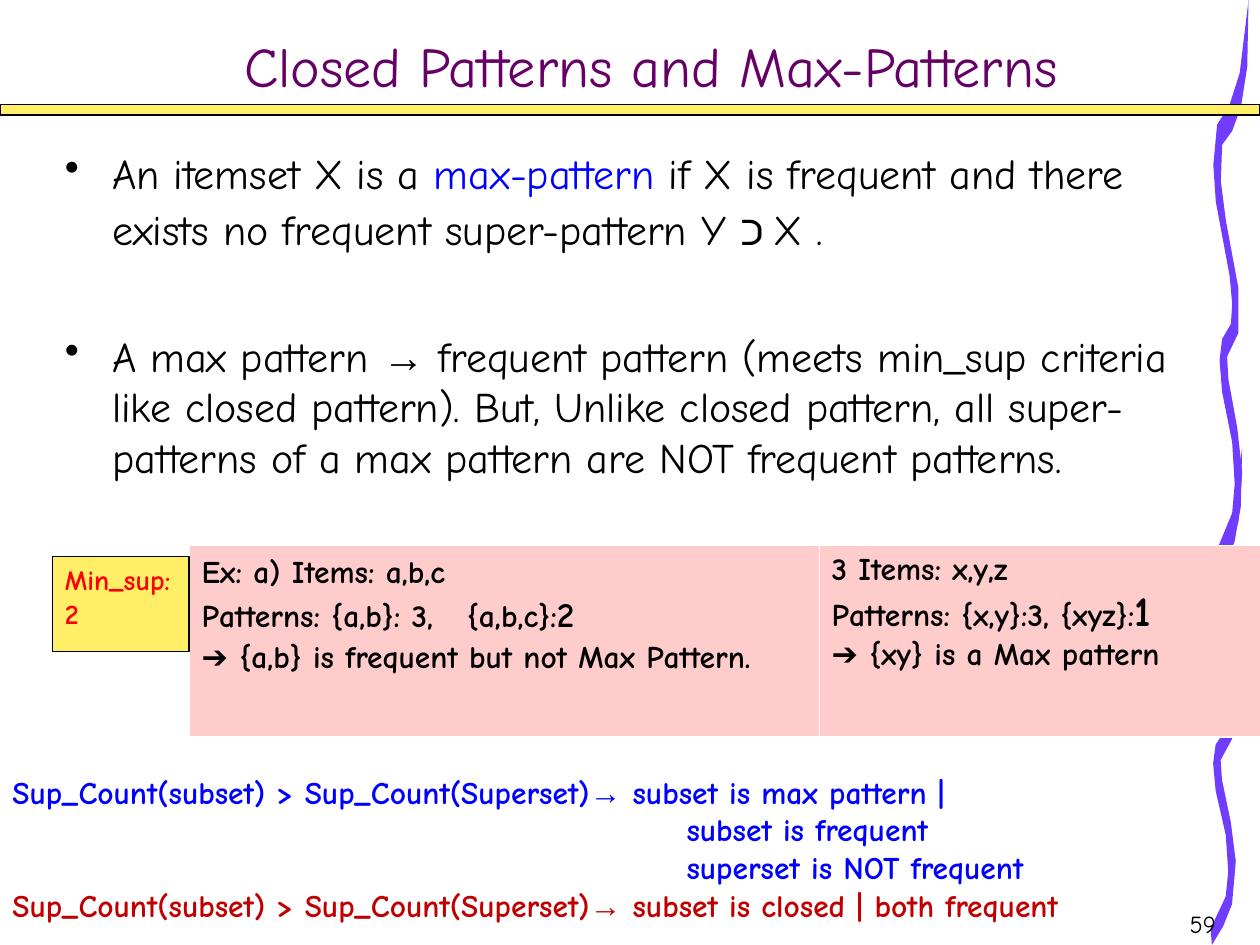
from dataclasses import dataclass
from typing import Optional

from lxml.etree import SubElement as Sub
from pptx import Presentation
from pptx.dml.color import RGBColor as Rgb
from pptx.enum.shapes import MSO_SHAPE as Kind
from pptx.enum.text import MSO_ANCHOR as Anchor, MSO_AUTO_SIZE as Fit, PP_ALIGN as Align
from pptx.oxml.ns import qn
from pptx.util import Cm, Pt

FACE = "Comic Neue"
BLACK, WHITE, BLUE, RED = "000000", "FFFFFF", "0000FF", "C00000"
YELLOW, PINK, VIOLET = "FFEF66", "FFCCCC", "703DFF"
WAVE = [
    (3, 436), (15, 407), (17, 384), (15, 351), (7, 311), (5, 286), (7, 269), (14, 257),
    (15, 241), (13, 219), (2, 160), (0, 131), (3, 99), (13, 83), (21, 58), (28, 0),
    (27, 53), (22, 85), (15, 104), (7, 115), (6, 144), (10, 175), (20, 229), (20, 264),
    (11, 283), (12, 301), (19, 339), (23, 375), (20, 414), (13, 434), (4, 451),
]


@dataclass
class Run:
    """A stretch of text and what sets it apart."""
    text: str
    color: Optional[str] = None
    size: Optional[float] = None
    face: Optional[str] = None


@dataclass
class Para:
    """A paragraph with its runs and layout."""
    runs: list[Run]
    size: float = 18
    color: str = BLACK
    bold: bool = False
    align: Align = Align.LEFT
    line: float = 1.0
    before: float = 0
    left: float = 0
    bullet: bool = False
    tab: float = 0


def paint(color: str) -> Rgb:
    """Turn a hex string into a colour."""
    return Rgb.from_string(color)


def arrow(head: str, sign: str, tail: str) -> list[Run]:
    """Put an Arial arrow between two texts."""
    runs = [Run(head), Run(sign, face="Arial"), Run(tail)]
    return [run for run in runs if run.text]


def write(frame, paras: list[Para]) -> None:
    """Fill a text frame with paragraphs."""
    for i, para in enumerate(paras):
        item = frame.add_paragraph() if i else frame.paragraphs[0]
        props = item._p.get_or_add_pPr()
        if para.left:
            props.set("marL", str(Cm(para.left)))
            props.set("indent", str(-Cm(para.left) if para.bullet else 0))
        if para.bullet:
            Sub(Sub(props, qn("a:buClr")), qn("a:srgbClr"), val=BLACK)
            Sub(props, qn("a:buChar"), char="•")
        if para.tab:
            Sub(Sub(props, qn("a:tabLst")), qn("a:tab"), pos=str(Cm(para.tab)), algn="l")
        item.alignment, item.line_spacing = para.align, para.line
        item.space_before = Pt(para.before)
        font = item.font
        font.name, font.size, font.bold = FACE, Pt(para.size), para.bold
        font.color.rgb = paint(para.color)
        for part in para.runs:
            run = item.add_run()
            run.text = part.text
            if part.color:
                run.font.color.rgb = paint(part.color)
            if part.size:
                run.font.size = Pt(part.size)
            if part.face:
                run.font.name = part.face


def add_text(slide, box: tuple, paras: list[Para]) -> None:
    """Add a wrapping text box."""
    frame = slide.shapes.add_textbox(*map(Cm, box)).text_frame
    frame.word_wrap = True
    write(frame, paras)


def add_rect(slide, box: tuple):
    """Add a yellow rectangle with a thin black outline."""
    rect = slide.shapes.add_shape(Kind.RECTANGLE, *map(Cm, box))
    rect.shadow.inherit = False
    rect.fill.solid()
    rect.fill.fore_color.rgb = paint(YELLOW)
    rect.line.color.rgb = paint(BLACK)
    rect.line.width = Pt(0.75)
    return rect


def add_wave(slide, left: float, top: float, high: float) -> None:
    """Add a violet ribbon of the given height."""
    scale = (Cm(0.71) / 28, Cm(high) / 451)
    pen = slide.shapes.build_freeform(*WAVE[0], scale=scale)
    pen.add_line_segments(WAVE[1:], close=True)
    wave = pen.convert_to_shape(Cm(left), Cm(top))
    wave.shadow.inherit = False
    wave.fill.solid()
    wave.fill.fore_color.rgb = paint(VIOLET)
    wave.line.fill.background()


def add_grid(slide, box: tuple, wide: list[float], cells: list[list[Para]]) -> None:
    """Add the one-row table of examples."""
    grid = slide.shapes.add_table(1, len(cells), *map(Cm, box)).table
    grid.first_row = grid.horz_banding = False
    for i, paras in enumerate(cells):
        grid.columns[i].width = Cm(wide[i])
        cell = grid.cell(0, i)
        cell.fill.solid()
        cell.fill.fore_color.rgb = paint(PINK)
        write(cell.text_frame, paras)
        props = cell._tc.get_or_add_tcPr()
        for j, (side, width) in enumerate(zip("LRTB", (0.45, 0.45, 0.45, 1.47))):
            edge = Sub(props, qn(f"a:ln{side}"), w=str(Pt(width)))
            Sub(Sub(edge, qn("a:solidFill")), qn("a:srgbClr"), val=WHITE)
            props.insert(j, edge)


def main() -> None:
    """Build the slide and save it."""
    deck = Presentation()
    deck.slide_width, deck.slide_height = Cm(25.4), Cm(19.05)
    slide = deck.slides.add_slide(deck.slide_layouts[5])

    add_wave(slide, 24.33, 9.04, 10.01)
    add_wave(slide, 24.46, 0, 11.46)
    add_rect(slide, (0, 2.11, 25.4, 0.21))

    title = slide.shapes.title
    title.left, title.top, title.width, title.height = map(Cm, (2.12, 0, 22.01, 2.12))
    title.text_frame.auto_size = Fit.NONE
    title.text_frame.vertical_anchor = Anchor.BOTTOM
    head = Run("Closed Patterns and Max-Patterns")
    write(title.text_frame, [Para([head], 32, "660066", align=Align.CENTER)])

    add_text(slide, (19.48, 18.2, 5.28, 0.85), [Para([Run("59")], 14, align=Align.RIGHT)])
    add_text(slide, (1.06, 2.75, 23.28, 7.62), [
        Para([
            Run("An itemset X is a "),
            Run("max-pattern", BLUE),
            Run(" if X is frequent and there exists no frequent super-pattern Y כ X ."),
        ], 24, line=1.1, left=0.95, bullet=True),
        Para(arrow(
            "A max pattern ", "→",
            " frequent pattern (meets min_sup criteria like closed pattern). But, Unlike "
            "closed pattern, all super-patterns of a max pattern are NOT frequent patterns.",
        ), 24, before=44, left=0.95, bullet=True),
    ])

    first = [
        [Run("Ex: a) Items: a,b,c")],
        [Run("Patterns: {a,b}: 3,\t{a,b,c}:"), Run("2", size=20)],
        arrow("", "➔", " {a,b} is frequent but not Max Pattern."),
    ]
    second = [
        [Run("3 Items: x,y,z")],
        [Run("Patterns: {x,y}:3, {xyz}:"), Run("1", size=24)],
        arrow("", "➔", " {xy} is a Max pattern"),
    ]
    add_grid(slide, (3.81, 11, 21.59, 3.86), [12.7, 8.89], [
        [Para(runs, bold=True, line=1.1, tab=5.35) for runs in first],
        [Para(runs, bold=True) for runs in second],
    ])

    note = add_rect(slide, (1.06, 11.22, 2.75, 1.91)).text_frame
    note.vertical_anchor = Anchor.TOP
    note.word_wrap = True
    write(note, [Para([Run("Min_sup:2")], 16, "FF0000", True)])

    count = "Sup_Count(subset) > Sup_Count(Superset)"
    add_text(slide, (0, 15.45, 25.4, 4.06), [
        Para(arrow(count, "→", " subset is max pattern |"), color=BLUE, bold=True),
        *(Para([Run(text)], color=BLUE, bold=True, left=13.59)
          for text in ("subset is frequent", "superset is NOT frequent")),
        Para(arrow(count, "→", " subset is closed | both frequent"), color=RED, bold=True),
    ])
    deck.save("out.pptx")


if __name__ == "__main__":
    main()
